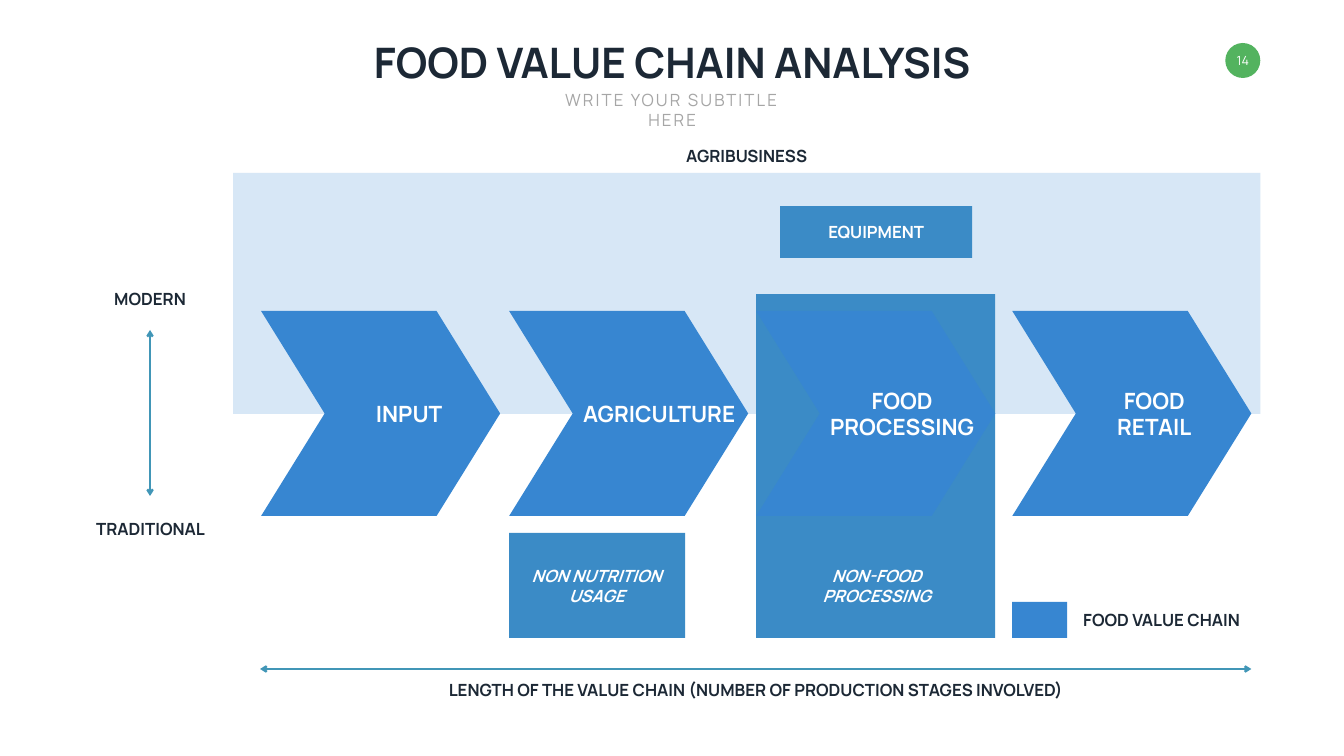
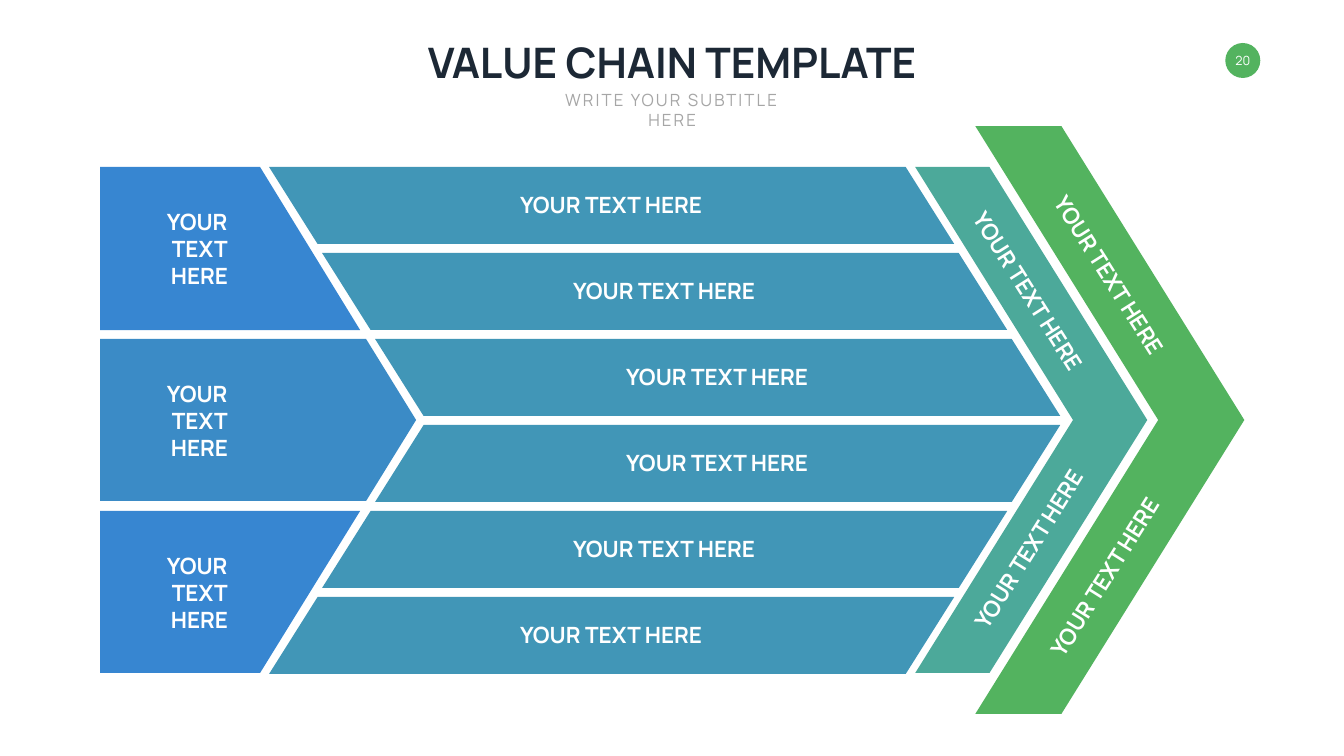
from lxml.etree import SubElement
from pptx import Presentation
from pptx.dml.color import RGBColor
from pptx.enum.shapes import MSO_CONNECTOR as Link, MSO_SHAPE as Kind
from pptx.enum.text import MSO_ANCHOR as Anchor, MSO_AUTO_SIZE as Auto, PP_ALIGN as Align
from pptx.oxml.ns import qn
from pptx.util import Emu, Inches, Pt

SCALE = 914400 / 50.4
BLUE, STEEL, TEAL, SEA, GREEN = "3786D1", "3B8BC6", "4196B7", "4CA99A", "53B35F"
PALE, DARK, GREY, WHITE = "D7E7F6", "1C2835", "A6A6A6", "FFFFFF"
FONT = "Manrope"
HEAD = {"size": Pt(60), "bold": True}
SUB = {"size": Pt(24), "bold": False}
BIG = {"size": Pt(32), "bold": True}
SMALL = {"size": Pt(24), "bold": True}
SLANT = {"size": Pt(24), "bold": True, "italic": True}
PAGE = {"size": Pt(18), "bold": False}
ROW = "YOUR TEXT HERE"


def px(*vals):
    """Turn pixels into EMU."""
    return [Emu(round(val * SCALE)) for val in vals]


def tint(form, color):
    """Set a solid colour on a fill."""
    form.solid()
    form.fore_color.rgb = RGBColor.from_string(color)


def write(shape, text, fmt, color, align=Align.CENTER, wrap=False, anchor=Anchor.MIDDLE):
    """Fill a text frame with formatted lines."""
    frame = shape.text_frame
    frame.text = text
    look = {"word_wrap": wrap, "auto_size": Auto.NONE, "vertical_anchor": anchor}
    for key, val in look.items():
        setattr(frame, key, val)
    for para in frame.paragraphs:
        para.alignment = align
        para.space_before = Pt(0)
        for run in para.runs:
            for key, val in {"name": FONT, **fmt}.items():
                setattr(run.font, key, val)
            tint(run.font.fill, color)


def label(slide, text, box, fmt=BIG, color=WHITE, turn=0, **opts):
    """Add a text box."""
    shape = slide.shapes.add_textbox(*px(*box))
    shape.rotation = turn
    write(shape, text, fmt, color, **opts)


def paint(shape, color):
    """Give a shape a flat fill with no line or shadow."""
    tint(shape.fill, color)
    shape.line.fill.background()
    shape.shadow.inherit = False


def block(slide, kind, box, color, adj=None):
    """Add a flat preset shape."""
    shape = slide.shapes.add_shape(kind, *px(*box))
    paint(shape, color)
    if adj is not None:
        shape.adjustments[0] = adj
    return shape


def outline(slide, pts, color):
    """Add a flat polygon."""
    pen = slide.shapes.build_freeform(*pts[0], scale=SCALE)
    pen.add_line_segments(pts[1:], close=True)
    paint(pen.convert_to_shape(), color)


def arrow(slide, *ends):
    """Add a line with an arrowhead at both ends."""
    link = slide.shapes.add_connector(Link.STRAIGHT, *px(*ends))
    tint(link.line.fill, TEAL)
    link.line.width = Pt(3)
    props = link.element.spPr
    for tag in ("a:headEnd", "a:tailEnd"):
        SubElement(props.find(qn("a:ln")), qn(tag), type="arrow")
    SubElement(props, qn("a:effectLst"))


def start(deck, title, page):
    """Add a slide with its title, subtitle and page badge."""
    slide = deck.slides.add_slide(deck.slide_layouts[0])
    sub = slide.placeholders[1]
    heads = (
        (slide.shapes.title, title, (332, 34, 680, 56), HEAD, DARK, False),
        (sub, "WRITE YOUR SUBTITLE HERE", (535, 87, 274, 25), SUB, GREY, True),
    )
    for shape, text, box, fmt, color, wrap in heads:
        for key, val in zip(("left", "top", "width", "height"), px(*box)):
            setattr(shape, key, val)
        write(shape, text, fmt, color, wrap=wrap, anchor=Anchor.TOP)
    sub.text_frame.paragraphs[0].runs[0].font._element.set("spc", "300")
    block(slide, Kind.OVAL, (1225, 43, 35, 35), GREEN)
    label(slide, page, (1228, 50, 29, 20), PAGE)
    return slide


def food(deck):
    """Build the food chain slide."""
    slide = start(deck, "FOOD VALUE CHAIN ANALYSIS", "14")
    block(slide, Kind.RECTANGLE, (233, 173, 1027, 241), PALE)
    for box, color in (
        ((756, 294, 239, 344), STEEL),
        ((509, 533, 176, 105), STEEL),
        ((780, 206, 192, 52), STEEL),
        ((1012, 602, 55, 36), BLUE),
    ):
        block(slide, Kind.RECTANGLE, box, color)
    for left, text, mid in (
        (261, "INPUT", 409),
        (509, "AGRICULTURE", 659),
        (756, "FOOD\nPROCESSING", 902),
        (1012, "FOOD\nRETAIL", 1154),
    ):
        block(slide, Kind.CHEVRON, (left, 311, 239, 205), BLUE, 0.31)
        label(slide, text, (mid - 85, 384, 170, 59))
    for text, box, fmt, color in (
        ("EQUIPMENT", (822, 219, 108, 25), SMALL, WHITE),
        ("NON-FOOD\nPROCESSING", (817, 563, 119, 46), SLANT, WHITE),
        ("NON NUTRITION\nUSAGE", (524, 563, 145, 46), SLANT, WHITE),
        ("AGRIBUSINESS", (680, 143, 133, 25), SMALL, DARK),
        ("TRADITIONAL", (89, 516, 123, 25), SMALL, DARK),
        ("MODERN", (108, 286, 84, 25), SMALL, DARK),
        ("LENGTH OF THE VALUE CHAIN (NUMBER OF PRODUCTION STAGES INVOLVED)",
         (432, 677, 647, 25), SMALL, DARK),
    ):
        label(slide, text, box, fmt, color)
    label(slide, "FOOD VALUE CHAIN", (1078, 607, 175, 25), SMALL, DARK, align=Align.LEFT)
    arrow(slide, 150, 330, 150, 496)
    arrow(slide, 1251, 669, 260, 669)


def chain(deck):
    """Build the template slide."""
    slide = start(deck, "VALUE CHAIN TEMPLATE", "20")
    top, step, high = 167, 86, 77
    block(slide, Kind.CHEVRON, (915, top, 232, 506), SEA, 0.68)
    for row in range(6):
        left, y = 269 + 53 * min(row, 5 - row), top + step * row
        bar = block(slide, Kind.PARALLELOGRAM, (left, y, 685, high), TEAL, 0.63)
        flips = ("flipV",) if row < 3 else ("flipH", "flipV")
        for flip in flips:
            bar.element.spPr.xfrm.set(flip, "1")
        label(slide, ROW, (left + 245, y + 22, 194, 32))
    for row, (color, edge) in enumerate((
        (BLUE, ((260, 0), (360, 163))),
        (STEEL, ((366, 0), (416, 81), (366, 162))),
        (BLUE, ((360, 0), (260, 162))),
    )):
        y = top + 2 * step * row
        pts = [(100, y), *((x, y + drop) for x, drop in edge), (100, y + edge[-1][1])]
        outline(slide, pts, color)
        label(slide, "YOUR \nTEXT HERE", (137, y + 52, 125, 59), wrap=True)
    block(slide, Kind.CHEVRON, (975, 126, 269, 588), GREEN, 0.68)
    for left, y, turn in (
        (931, 275, 57.6), (931, 533, 302.1), (1012, 259, 57.6), (1007, 561, 302.1),
    ):
        label(slide, ROW, (left, y, 194, 32), turn=turn)


def main():
    """Build and save the deck."""
    deck = Presentation()
    deck.slide_width, deck.slide_height = Inches(26.66), Inches(15)
    food(deck)
    chain(deck)
    deck.save("out.pptx")


main()
